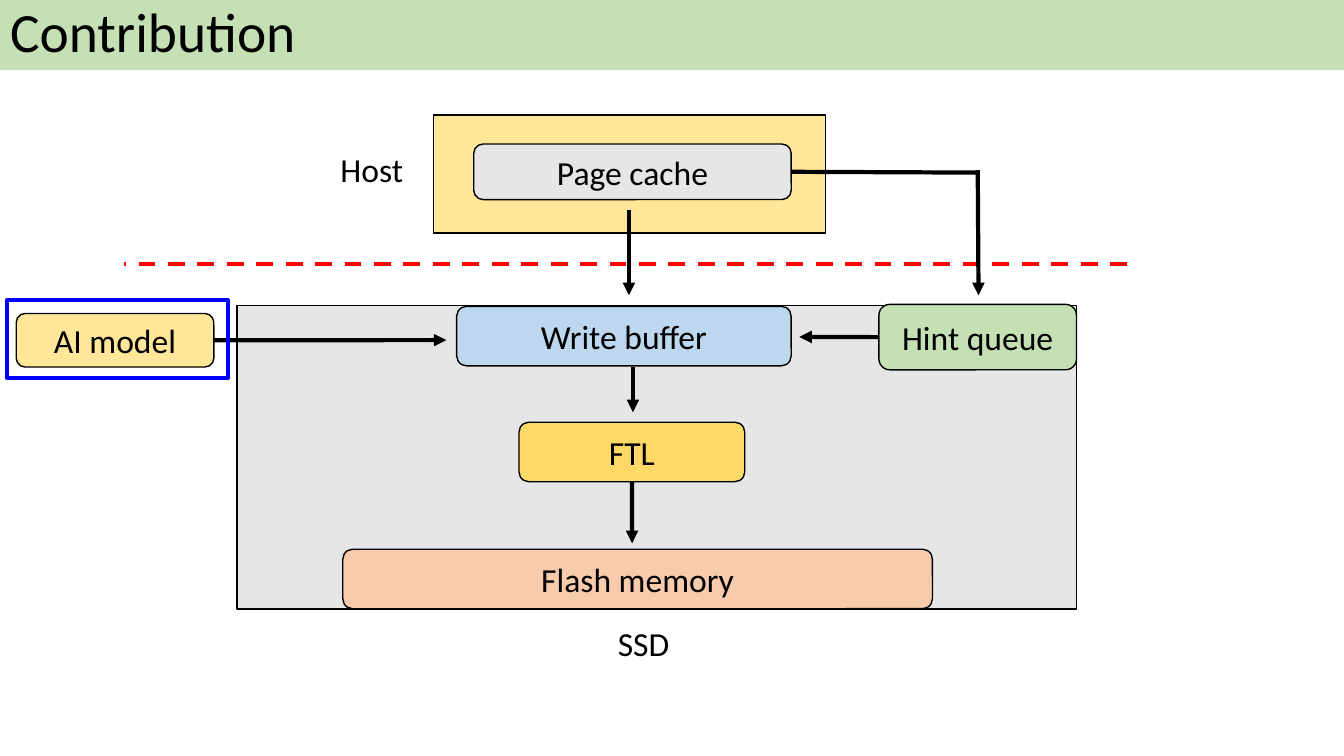
from pptx import Presentation
from pptx import util as u
from pptx.dml.color import RGBColor
from pptx.enum import dml, shapes, text
from pptx.oxml import ns
from lxml import etree

BLACK = RGBColor(0x00, 0x00, 0x00)
RED = RGBColor(0xFF, 0x00, 0x00)
BLUE = RGBColor(0x00, 0x00, 0xFF)
GREEN = RGBColor(0xC5, 0xE0, 0xB4)
YELLOW = RGBColor(0xFF, 0xE6, 0x99)
GOLD = RGBColor(0xFF, 0xD9, 0x66)
GREY = RGBColor(0xE7, 0xE6, 0xE6)
SKY = RGBColor(0xBD, 0xD7, 0xEE)
PEACH = RGBColor(0xF8, 0xCB, 0xAD)
RECTANGLE = shapes.MSO_SHAPE.RECTANGLE
ROUNDED = shapes.MSO_SHAPE.ROUNDED_RECTANGLE


def write(paragraph, words, size):
    run = paragraph.add_run()
    run.text = words
    run.font.name = "Calibri"
    run.font.size = u.Pt(size)
    run.font.color.rgb = BLACK


def add_box(kind, place, fill, line=BLACK, width=1):
    shape = slide.shapes.add_shape(kind, *[u.Cm(length) for length in place])
    shape.shadow.inherit = False
    if fill is None:
        shape.fill.background()
    else:
        shape.fill.solid()
        shape.fill.fore_color.rgb = fill
    shape.line.color.rgb = line
    shape.line.width = u.Pt(width)
    return shape


presentation = Presentation()
presentation.slide_width = u.Cm(33.87)
presentation.slide_height = u.Cm(19.05)
slide = presentation.slides.add_slide(presentation.slide_layouts[5])

title = slide.shapes.title
title.left, title.top, title.width, title.height = u.Cm(0), u.Cm(-0.03), u.Cm(33.87), u.Cm(1.8)
title.fill.solid()
title.fill.fore_color.rgb = GREEN
title.text_frame.auto_size = text.MSO_AUTO_SIZE.NONE
title.text_frame.vertical_anchor = text.MSO_ANCHOR.MIDDLE
heading = title.text_frame.paragraphs[0]
heading.alignment = text.PP_ALIGN.LEFT
heading.line_spacing = 0.9
write(heading, "Contribution", 39.6)

add_box(RECTANGLE, (10.92, 2.9, 9.88, 2.97), YELLOW)
add_box(RECTANGLE, (5.97, 7.7, 21.16, 7.65), GREY)

blocks = {}
for name, place, fill in [
    ("Page cache", (11.94, 3.63, 8, 1.4), GREY),
    ("Hint queue", (22.15, 7.67, 4.98, 1.65), GREEN),
    ("Write buffer", (11.51, 7.72, 8.43, 1.5), SKY),
    ("AI model", (0.41, 7.9, 4.98, 1.35), YELLOW),
    ("Flash memory", (8.64, 13.84, 14.86, 1.5), PEACH),
    ("FTL", (13.08, 10.64, 5.69, 1.5), GOLD),
]:
    block = add_box(ROUNDED, place, fill)
    block.text_frame.vertical_anchor = text.MSO_ANCHOR.MIDDLE
    paragraph = block.text_frame.paragraphs[0]
    paragraph.alignment = text.PP_ALIGN.CENTER
    write(paragraph, name, 24)
    blocks[name] = block

for name, left, top in [("Host", 8.33, 3.63), ("SSD", 15.32, 15.57)]:
    label = slide.shapes.add_textbox(u.Cm(left), u.Cm(top), u.Cm(2.34), u.Cm(1.27))
    label.text_frame.word_wrap = True
    label.text_frame.auto_size = text.MSO_AUTO_SIZE.SHAPE_TO_FIT_TEXT
    write(label.text_frame.paragraphs[0], name, 24)

for ends, color, dashed, arrow, source, side in [
    ((28.4, 6.65, 3.12, 6.65), RED, True, False, None, None),
    ((5.39, 8.57, 11.25, 8.57), BLACK, False, True, "AI model", 3),
    ((15.85, 5.28, 15.85, 7.44), BLACK, False, True, None, None),
    ((15.95, 9.25, 15.95, 10.39), BLACK, False, True, None, None),
    ((15.93, 12.14, 15.93, 13.69), BLACK, False, True, "FTL", 2),
    ((19.94, 4.33, 24.64, 4.35), BLACK, False, False, "Page cache", 3),
    ((24.64, 4.29, 24.66, 7.44), BLACK, False, True, None, None),
    ((22.15, 8.49, 20.14, 8.49), BLACK, False, True, "Hint queue", 1),
]:
    connector = slide.shapes.add_connector(
        shapes.MSO_CONNECTOR.STRAIGHT, *[u.Cm(length) for length in ends])
    if source:
        connector.begin_connect(blocks[source], side)
    connector.line.color.rgb = color
    connector.line.width = u.Pt(3)
    if dashed:
        connector.line.dash_style = dml.MSO_LINE.DASH
    if arrow:
        etree.SubElement(connector.line._get_or_add_ln(), ns.qn("a:tailEnd"), type="triangle")
    etree.SubElement(connector._element.spPr, ns.qn("a:effectLst"))

add_box(RECTANGLE, (0.18, 7.57, 5.56, 1.96), None, BLUE, 3)

presentation.save("out.pptx")
